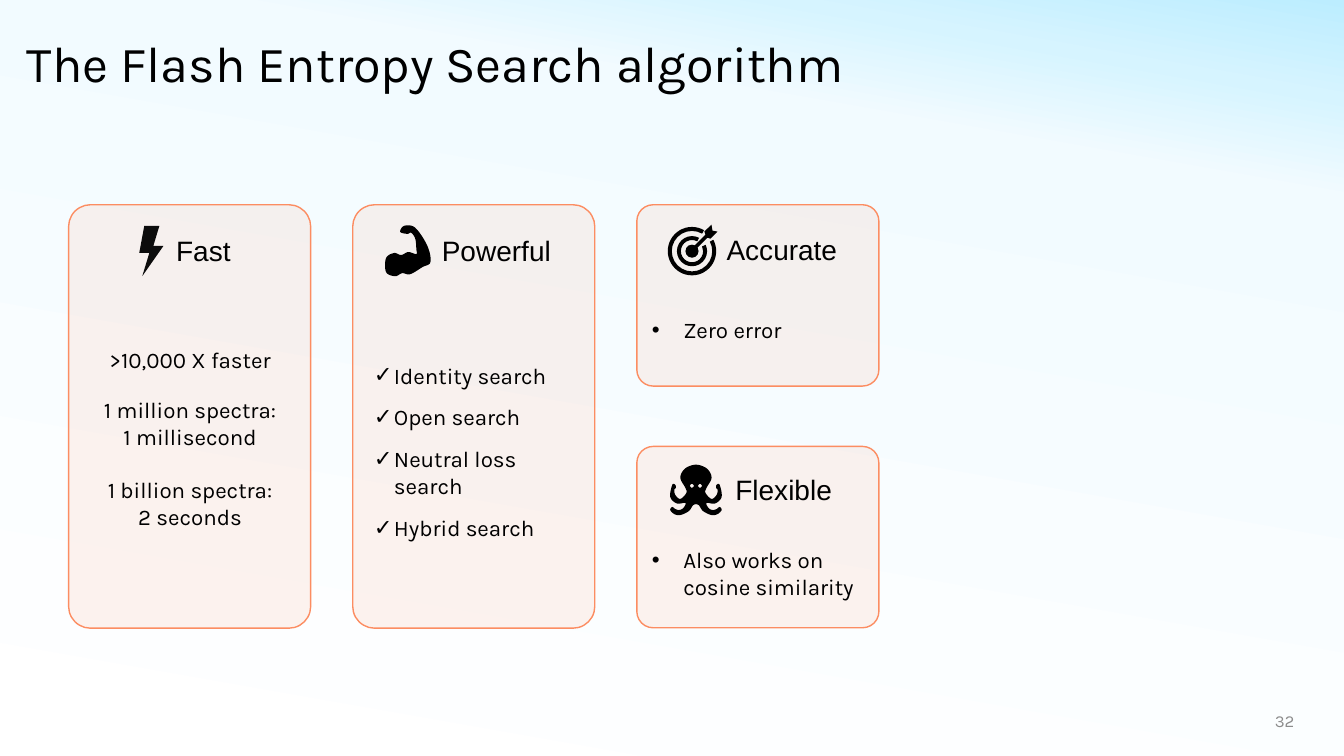
from dataclasses import dataclass

from lxml import etree
from pptx import Presentation
from pptx.dml.color import RGBColor
from pptx.enum.shapes import MSO_SHAPE
from pptx.enum.text import MSO_ANCHOR, PP_ALIGN
from pptx.oxml import parse_xml
from pptx.oxml.ns import nsdecls, qn
from pptx.util import Cm, Pt

ROUNDED, OVAL, ARC = MSO_SHAPE.ROUNDED_RECTANGLE, MSO_SHAPE.OVAL, MSO_SHAPE.BLOCK_ARC
LEFT, CENTER, RIGHT = PP_ALIGN.LEFT, PP_ALIGN.CENTER, PP_ALIGN.RIGHT
TOP, MIDDLE = MSO_ANCHOR.TOP, MSO_ANCHOR.MIDDLE


@dataclass(frozen=True)
class Theme:
    ink: str = "000000"
    accent: str = "FC8D62"
    muted: str = "8C8C8C"
    sky: tuple = ((0, "FFFFFF"), (80, "F2FBFF"), (90, "D6F4FF"), (100, "BCEDFF"))
    sky_angle: int = 280
    body_font: str = "Karla"
    heading_font: str = "Arial"
    title_size: int = 36
    heading_size: int = 20
    body_size: int = 16
    number_size: int = 12


# Icon outlines, in hundredths of an inch
BOLT = [(3, 50), (10, 27), (0, 27), (5, 0), (20, 0), (14, 20), (24, 20)]
DART = [(8, 22), (20, 10), (19, 7), (26, 0), (27, 6), (32, 7), (25, 14), (22, 13), (11, 24)]
ARM = [(18, 0), (14, 6), (21, 8), (25, 7), (29, 13), (30, 23), (30, 28), (22, 26),
       (15, 29), (8, 27), (0, 32), (0, 46), (9, 50), (16, 47), (24, 48), (36, 41),
       (44, 36), (41, 20), (29, 2)]
OCTOPUS_HALF = [(0, 0), (11, 4), (15.5, 13), (10.5, 23), (9.5, 28), (15.5, 34),
                (20.5, 30), (21.5, 25), (20, 23), (20.5, 20), (23.5, 20), (25.5, 32),
                (19, 38.5), (10.5, 38), (12.5, 43), (16.5, 45), (20.5, 44), (23.5, 42),
                (25.5, 45), (21.5, 49), (15.5, 50), (7, 46), (2.5, 40)]
OCTOPUS = OCTOPUS_HALF + [(-x, y) for x, y in OCTOPUS_HALF[:0:-1]]
EYES = [[(x - 2, 21), (x, 23), (x + 2, 21), (x, 19)] for x in (-4, 4)]


def smooth(points, steps=6):
    """Return a closed Catmull-Rom curve through the points."""
    curve = []
    count = len(points)
    for i in range(count):
        around = [points[(i + k) % count] for k in (-1, 0, 1, 2)]
        for step in range(steps):
            t = step / steps
            curve.append(tuple(
                0.5 * (2 * b + (c - a) * t + (2 * a - 5 * b + 4 * c - d) * t ** 2
                       + (3 * b - a - 3 * c + d) * t ** 3)
                for a, b, c, d in zip(*around)))
    return curve


class SlideBuilder:
    def __init__(self, deck, theme):
        self.theme = theme
        self.page = deck.slides.add_slide(deck.slide_layouts[6])

    def background(self):
        stops = "".join(f'<a:gs pos="{place * 1000}"><a:srgbClr val="{color}"/></a:gs>'
                        for place, color in self.theme.sky)
        self.page.element.cSld.insert(0, parse_xml(
            f'<p:bg {nsdecls("p", "a")}><p:bgPr><a:gradFill rotWithShape="1">'
            f'<a:gsLst>{stops}</a:gsLst><a:lin ang="{self.theme.sky_angle * 60000}" scaled="0"/>'
            '</a:gradFill><a:effectLst/></p:bgPr></p:bg>'))

    def paint(self, shape, color, opacity=100):
        shape.shadow.inherit = False
        shape.fill.solid()
        shape.fill.fore_color.rgb = RGBColor.from_string(color)
        shape.line.fill.background()
        if opacity < 100:
            tone = shape.fill._xPr.find(qn("a:solidFill"))[0]
            etree.SubElement(tone, qn("a:alpha"), val=str(opacity * 1000))

    def card(self, left, top, height):
        card = self.page.shapes.add_shape(ROUNDED, Cm(left), Cm(top), Cm(6.1), Cm(height))
        card.adjustments[0] = 0.09
        self.paint(card, self.theme.accent, 10)
        card.line.color.rgb = RGBColor.from_string(self.theme.accent)
        card.line.width = Pt(1)

    def text(self, left, top, width, height, lines, size, font=None, color=None,
             align=LEFT, anchor=TOP, wrap=True, bullet=None, hanging=0, spacing=None):
        """Add a text box; lines holds (text, points of space before) pairs."""
        box = self.page.shapes.add_textbox(Cm(left), Cm(top), Cm(width), Cm(height))
        frame = box.text_frame
        frame.word_wrap = wrap
        frame.vertical_anchor = anchor
        for index, (words, gap) in enumerate(lines):
            para = frame.paragraphs[0] if index == 0 else frame.add_paragraph()
            para.alignment = align
            if gap:
                para.space_before = Pt(gap)
            if spacing:
                para.line_spacing = spacing
            if bullet:
                props = para._p.get_or_add_pPr()
                props.set("marL", str(Cm(0.79)))
                props.set("indent", str(-Cm(hanging)))
                etree.SubElement(props, qn("a:buFont"), typeface=self.theme.heading_font)
                etree.SubElement(props, qn("a:buChar"), char=bullet)
            span = para.add_run()
            span.text = words
            span.font.size = Pt(size)
            span.font.name = font or self.theme.body_font
            span.font.color.rgb = RGBColor.from_string(color or self.theme.ink)

    def heading(self, left, top, width, words):
        self.text(left, top, width, 1.12, [(words, 0)], self.theme.heading_size,
                  font=self.theme.heading_font, align=CENTER, wrap=False)

    def body(self, left, top, width, height, lines, **style):
        self.text(left, top, width, height, lines, self.theme.body_size, **style)

    def outline(self, left, top, contours, opacity=100):
        """Draw closed contours as one filled icon."""
        fine = [[(x * 100, y * 100) for x, y in contour] for contour in contours]
        builder = self.page.shapes.build_freeform(*fine[0][0], scale=Cm(2.54) / 10000)
        for index, contour in enumerate(fine):
            if index:
                builder.move_to(*contour[0])
            builder.add_line_segments(contour[1:], close=True)
        self.paint(builder.convert_to_shape(Cm(left), Cm(top)), self.theme.ink, opacity)

    def disc(self, center_x, center_y, size, kind=OVAL, adjustments=()):
        disc = self.page.shapes.add_shape(kind, Cm(center_x - size / 2),
                                          Cm(center_y - size / 2), Cm(size), Cm(size))
        for index, value in enumerate(adjustments):
            disc.adjustments[index] = value
        self.paint(disc, self.theme.ink)

    def target(self, center_x, center_y):
        degree = 0.6  # one degree in adjustment units
        for size, start, end in ((1.22, 332, 300), (0.76, 335, 298)):
            self.disc(center_x, center_y, size, ARC,
                      (start * degree, end * degree, 0.1 / size))
        self.disc(center_x, center_y, 0.33)


def main():
    deck = Presentation()
    deck.slide_width, deck.slide_height = Cm(33.87), Cm(19.05)
    theme = Theme()
    slide = SlideBuilder(deck, theme)
    slide.background()
    slide.text(0.43, 0.66, 33.17, 2.01, [("The Flash Entropy Search algorithm", 0)],
               theme.title_size, anchor=MIDDLE, spacing=0.9)
    slide.text(31.6, 17.65, 1.27, 1.02, [("32", 0)], theme.number_size,
               color=theme.muted, align=RIGHT, anchor=MIDDLE)

    tall, short, upper, lower = 10.67, 4.57, 5.16, 11.25
    for column, top, height in ((0, upper, tall), (1, upper, tall),
                                (2, upper, short), (2, lower, short)):
        slide.card(1.73 + 7.16 * column, top, height)

    slide.heading(4.17, 5.77, 1.91, "Fast")
    slide.outline(3.51, 5.69, [BOLT], 95)
    slide.body(2.06, 8.59, 5.46, 4.95, [
        (">10,000 X faster", 0), ("1 million spectra:", 16.5), ("1 millisecond", 0),
        ("1 billion spectra:", 19), ("2 seconds", 0)], align=CENTER)

    slide.heading(10.87, 5.77, 3.28, "Powerful")
    slide.outline(9.73, 5.69, [smooth(ARM)])
    searches = ("Identity search", "Open search", "Neutral loss search", "Hybrid search")
    slide.body(8.89, 8.99, 6.1, 4.14,
               [(name, 10.7 if index else 0) for index, name in enumerate(searches)],
               bullet="✓", hanging=0.51)

    slide.heading(18.03, 5.74, 3.35, "Accurate")
    slide.target(17.44, 6.33)
    slide.outline(17.27, 5.66, [DART])
    slide.heading(18.19, 11.79, 3.12, "Flexible")
    slide.outline(17.54, 11.71, [smooth(part) for part in (OCTOPUS, *EYES)])
    for top, height, words in ((7.85, 0.94, "Zero error"),
                               (13.64, 1.63, "Also works on cosine similarity")):
        slide.body(16.18, top, 5.84, height, [(words, 0)], bullet="•", hanging=0.79)

    deck.save("out.pptx")


if __name__ == "__main__":
    main()
